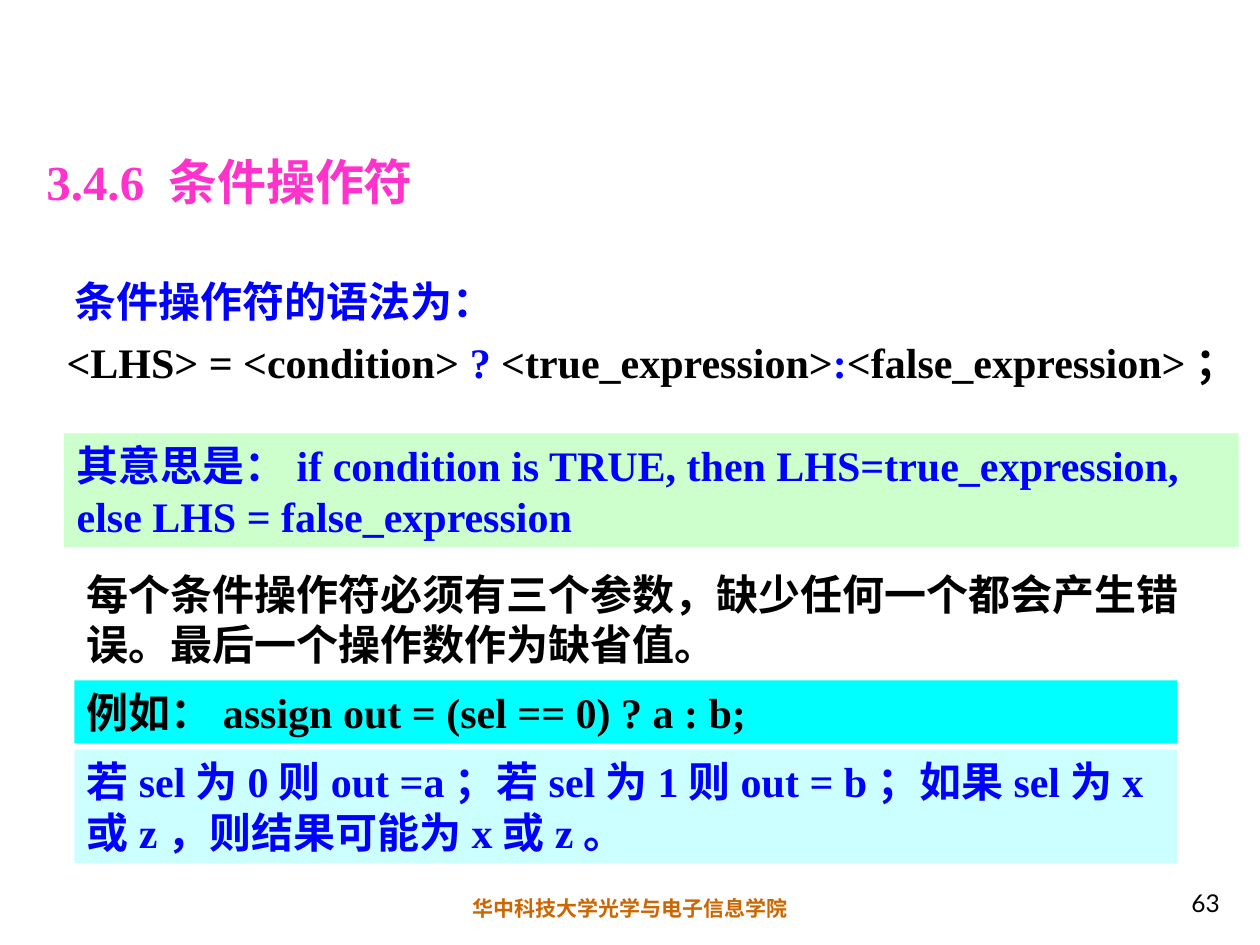
"""Build the slide on the Verilog conditional operator."""
from dataclasses import dataclass
from typing import Optional

from pptx import Presentation
from pptx.dml.color import RGBColor
from pptx.enum.shapes import MSO_SHAPE
from pptx.enum.text import MSO_ANCHOR, PP_ALIGN
from pptx.util import Inches, Pt

RECTANGLE = MSO_SHAPE.RECTANGLE
TOP, BOTTOM = MSO_ANCHOR.TOP, MSO_ANCHOR.BOTTOM
LEFT, CENTER, RIGHT = PP_ALIGN.LEFT, PP_ALIGN.CENTER, PP_ALIGN.RIGHT
SERIF, SANS = "Times New Roman", "Lato"
COLORS = {
    "black": "000000",
    "blue": "0000FF",
    "pink": "FF33CC",
    "orange": "CC6600",
    "green": "CCFFCC",
    "cyan": "00FFFF",
    "pale": "CCFFFF",
}


@dataclass(frozen=True)
class Span:
    text: str
    color: str = "black"
    size: float = 24
    font: str = SERIF
    bold: bool = True


@dataclass(frozen=True)
class Block:
    left: float
    top: float
    width: float
    height: float
    paragraphs: list[list[Span]]
    fill: Optional[str] = None
    align: PP_ALIGN = LEFT
    anchor: MSO_ANCHOR = TOP
    before: float = 0
    spacing: float = 1.0


BLOCKS = [
    Block(0, 7.06, 10, 0.3, [[Span("华中科技大学光学与电子信息学院", "orange", 12)]],
          align=CENTER, before=7.5),
    Block(7.7, 6.83, 2.08, 0.5, [[Span("63", size=14, font=SANS, bold=False)]],
          align=RIGHT, anchor=BOTTOM),
    Block(0.27, 0.91, 8.67, 0.81, [[Span("3.4.6 条件操作符", "pink", 28)]], anchor=BOTTOM),
    Block(0.43, 2.1, 10, 1.02, [
        [Span(" ", "blue", 20), Span("条件操作符的语法为：", "blue")],
        [Span("<LHS> = <condition> "), Span("?", "blue"), Span(" <true_expression>"),
         Span(":", "blue"), Span("<false_expression>；")],
    ], before=3, spacing=1.1),
    Block(0.51, 3.44, 9.32, 0.9, [[Span(
        "其意思是：if condition is TRUE, then LHS=true_expression, "
        "else LHS = false_expression", "blue")]], fill="green", before=15),
    Block(0.59, 4.46, 9, 0.9, [[Span(
        "每个条件操作符必须有三个参数，缺少任何一个都会产生错误。最后一个操作数作为缺省值。",
        font=SANS)]], before=15),
    Block(0.59, 5.4, 8.75, 0.5, [[Span("例如：assign out = (sel == 0) ? a : b;")]],
          fill="cyan", before=3),
    Block(0.59, 5.95, 8.75, 0.9, [[Span(
        "若sel为0则out =a；若sel为1则out = b；如果sel为x或z，则结果可能为x或z。",
        "blue")]], fill="pale", before=3),
]


def rgb(name: str) -> RGBColor:
    """Return the named colour."""
    return RGBColor.from_string(COLORS[name])


def add_span(para, text: str, *, color: str, size: float, font: str, bold: bool) -> None:
    """Append formatted text to a paragraph."""
    span = para.add_run()
    span.text = text
    span.font.name = font
    span.font.size = Pt(size)
    span.font.bold = bold
    span.font.color.rgb = rgb(color)


def add_block(page, block: Block) -> None:
    """Draw a text block, on a filled rectangle where it has a fill."""
    place = [Inches(value) for value in (block.left, block.top, block.width, block.height)]
    if block.fill:
        box = page.shapes.add_shape(RECTANGLE, *place)
        box.shadow.inherit = False
        box.fill.solid()
        box.fill.fore_color.rgb = rgb(block.fill)
        box.line.fill.background()
    else:
        box = page.shapes.add_textbox(*place)
    frame = box.text_frame
    frame.word_wrap = True
    frame.vertical_anchor = block.anchor
    for index, spans in enumerate(block.paragraphs):
        para = frame.add_paragraph() if index else frame.paragraphs[0]
        para.alignment = block.align
        para.space_before = Pt(block.before)
        para.line_spacing = block.spacing
        for span in spans:
            add_span(para, span.text, color=span.color, size=span.size,
                     font=span.font, bold=span.bold)


def main() -> None:
    """Build and save the deck."""
    deck = Presentation()
    deck.slide_width, deck.slide_height = Inches(10), Inches(7.5)
    page = deck.slides.add_slide(deck.slide_layouts[6])
    for block in BLOCKS:
        add_block(page, block)
    deck.save("out.pptx")


if __name__ == "__main__":
    main()
